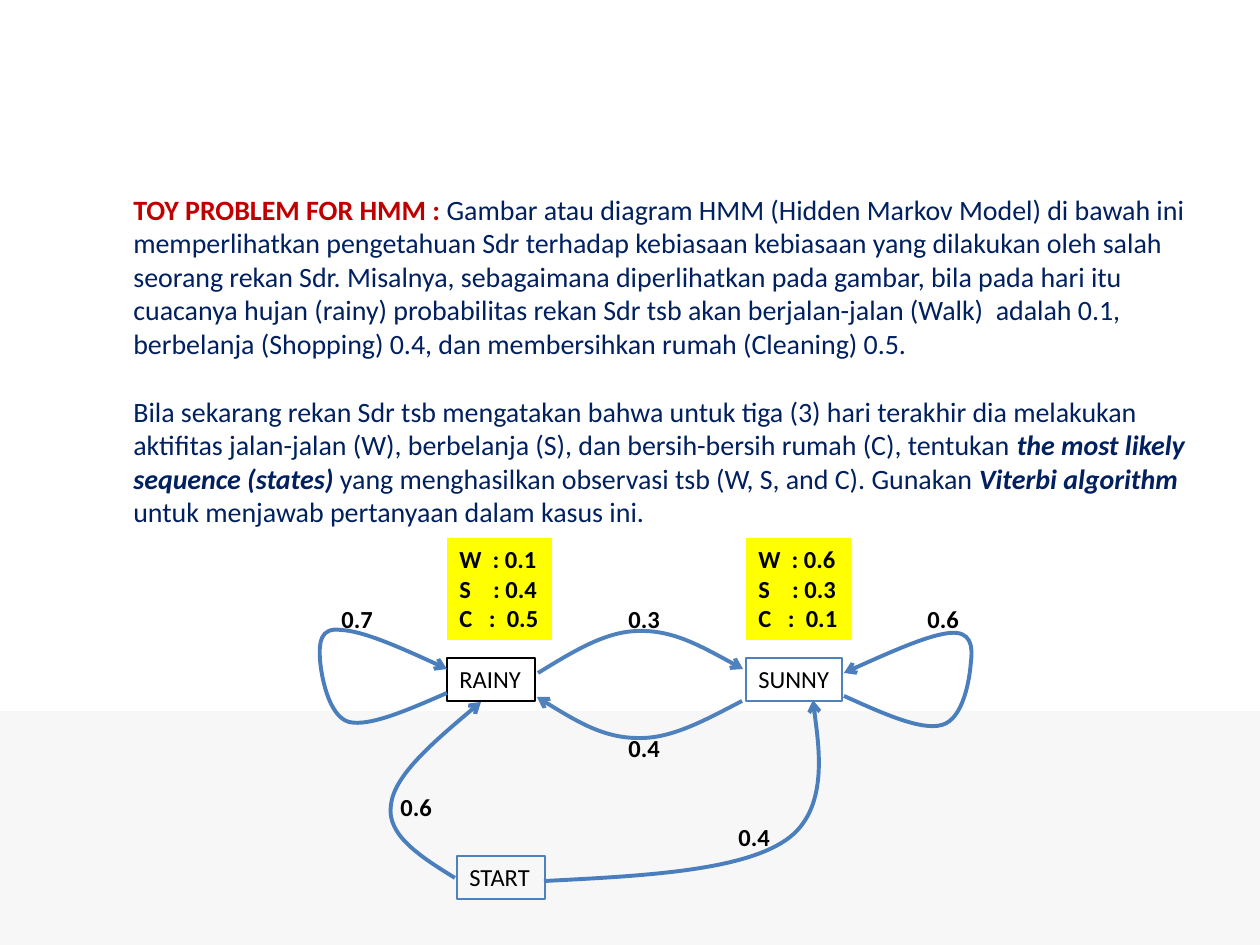
from pptx import Presentation, util as u
from pptx.dml.color import RGBColor
from pptx.enum import shapes, text
from pptx.oxml.ns import qn
from lxml import etree

EMU_PER_PX = 914400 / 126
NAVY, RED, BLACK, YELLOW = "002060", "C00000", "000000", "FFFF00"
BOX_BLUE, ARROW_BLUE, BAND_GREY = "4F81BD", "4B7EBC", "F7F7F7"

# Each problem paragraph is a list of (text, style) pieces
PROBLEM = [
    [("TOY PROBLEM FOR HMM : ", "heading"),
     ("Gambar atau diagram HMM (Hidden Markov Model) di bawah ini memperlihatkan "
      "pengetahuan Sdr terhadap kebiasaan kebiasaan yang dilakukan oleh salah seorang "
      "rekan Sdr. Misalnya, sebagaimana diperlihatkan pada gambar, bila pada hari itu "
      "cuacanya hujan (rainy) probabilitas rekan Sdr tsb akan berjalan-jalan (Walk)  "
      "adalah 0.1, berbelanja (Shopping) 0.4, dan membersihkan rumah (Cleaning) 0.5.",
      "plain")],
    [("Bila sekarang rekan Sdr tsb mengatakan bahwa untuk tiga (3) hari terakhir dia "
      "melakukan aktifitas jalan-jalan (W), berbelanja (S), dan bersih-bersih rumah (C), "
      "tentukan ", "plain"),
     ("the most likely sequence (states)", "term"),
     (" yang menghasilkan observasi tsb (W, S, and C). Gunakan ", "plain"),
     ("Viterbi algorithm", "term"),
     (" untuk menjawab pertanyaan dalam kasus ini.", "plain")],
]

# name, left, top, width, border
STATES = [
    ("RAINY", 447, 658, 88, BLACK),
    ("SUNNY", 746, 658, 96, BOX_BLUE),
    ("START", 457, 856, 88, BOX_BLUE),
]

# left, observation probabilities
EMISSIONS = [
    (447, "W  : 0.1\nS    : 0.4\nC   :  0.5"),
    (746, "W  : 0.6\nS    : 0.3\nC   :  0.1"),
]

# Start point, then two control points and an end point for each curve
TRANSITIONS = [
    # SUNNY to itself
    (ARROW_BLUE, [(844, 696), (882, 713), (921, 731), (942, 725),
                  (964, 719), (970, 677), (971, 662), (973, 646), (971, 631),
                  (950, 633), (929, 635), (886, 654), (844, 673)]),
    # RAINY to itself
    (ARROW_BLUE, [(447, 693), (410, 709), (370, 727), (349, 722),
                  (328, 716), (321, 674), (320, 659), (319, 643), (320, 627),
                  (341, 630), (363, 631), (406, 650), (447, 669)]),
    # RAINY to SUNNY, and back
    (BOX_BLUE, [(538, 673), (571, 653), (605, 631), (639, 631),
                (673, 630), (708, 650), (743, 669)]),
    (BOX_BLUE, [(742, 701), (707, 719), (672, 739), (638, 738),
                (604, 738), (571, 718), (537, 697)]),
    # START to RAINY and to SUNNY
    (ARROW_BLUE, [(455, 878), (421, 857), (386, 835), (391, 805),
                  (394, 776), (438, 738), (481, 702)]),
    (ARROW_BLUE, [(544, 881), (643, 876), (741, 871), (786, 840),
                  (830, 810), (816, 725), (813, 700)]),
]

# probability, left, top
PROBABILITIES = [
    ("0.3", 616, 598), ("0.7", 329, 598), ("0.6", 915, 598),
    ("0.4", 616, 727), ("0.6", 388, 786), ("0.4", 726, 816),
]


def px(length):
    return u.Emu(round(length * EMU_PER_PX))


def colour(value):
    return RGBColor.from_string(value)


def style_font(font, size, value, bold=False, italic=False):
    font.name, font.size = "Calibri", u.Pt(size)
    font.bold, font.italic = bold, italic
    font.color.rgb = colour(value)


def add_band(slide):
    band = slide.shapes.add_shape(
        shapes.MSO_SHAPE.RECTANGLE, 0, px(711), px(1260), px(234))
    band.shadow.inherit = False
    band.fill.solid()
    band.fill.fore_color.rgb = colour(BAND_GREY)
    band.line.fill.background()


def add_problem(slide):
    styles = {"heading": (RED, True, False),
              "plain": (NAVY, False, False),
              "term": (NAVY, True, True)}
    frame = slide.shapes.add_textbox(px(121), px(186), px(1108), px(386)).text_frame
    frame.word_wrap = True
    for index, pieces in enumerate(PROBLEM):
        paragraph = frame.add_paragraph() if index else frame.paragraphs[0]
        paragraph.space_before = u.Pt(19.5 if index else 0)
        for wording, style in pieces:
            run = paragraph.add_run()
            run.text = wording
            style_font(run.font, 16, *styles[style])


def add_label(slide, wording, left, top, width, height=43, bold=True,
              fill=None, border=None):
    label = slide.shapes.add_textbox(px(left), px(top), px(width), px(height))
    if fill:
        label.fill.solid()
        label.fill.fore_color.rgb = colour(fill)
    if border:
        label.line.color.rgb = colour(border)
        label.line.width = u.Pt(0.75)
    frame = label.text_frame
    frame.word_wrap = False
    frame.auto_size = text.MSO_AUTO_SIZE.SHAPE_TO_FIT_TEXT
    frame.text = wording
    for paragraph in frame.paragraphs:
        for run in paragraph.runs:
            style_font(run.font, 14, BLACK, bold)


def bend(outline):
    """Turn each three straight segments into one Bezier curve."""
    segments = list(outline.iter(qn("a:lnTo")))
    for first in range(0, len(segments), 3):
        curve = etree.Element(qn("a:cubicBezTo"))
        segments[first].addprevious(curve)
        for segment in segments[first:first + 3]:
            curve.append(segment[0])
            segment.getparent().remove(segment)


def add_transition(slide, value, points):
    builder = slide.shapes.build_freeform(*points[0], scale=EMU_PER_PX)
    builder.add_line_segments(points[1:], close=False)
    arrow = builder.convert_to_shape()
    bend(arrow._element)
    arrow.shadow.inherit = False
    arrow.fill.background()
    arrow.line.color.rgb = colour(value)
    arrow.line.width = u.Pt(2.25)
    line = arrow._element.spPr.find(qn("a:ln"))
    etree.SubElement(line, qn("a:tailEnd"), type="arrow")


def main():
    deck = Presentation()
    deck.slide_width, deck.slide_height = px(1260), px(945)
    slide = deck.slides.add_slide(deck.slide_layouts[6])

    # Background and problem statement
    add_band(slide)
    add_problem(slide)

    # States with their observations
    for name, left, top, width, border in STATES:
        add_label(slide, name, left, top, width, bold=False, border=border)
    for left, observations in EMISSIONS:
        add_label(slide, observations, left, 538, 105, 102, fill=YELLOW)

    # Transitions with their probabilities
    for value, points in TRANSITIONS:
        add_transition(slide, value, points)
    for probability, left, top in PROBABILITIES:
        add_label(slide, probability, left, top, 57)

    deck.save("out.pptx")


if __name__ == "__main__":
    main()
